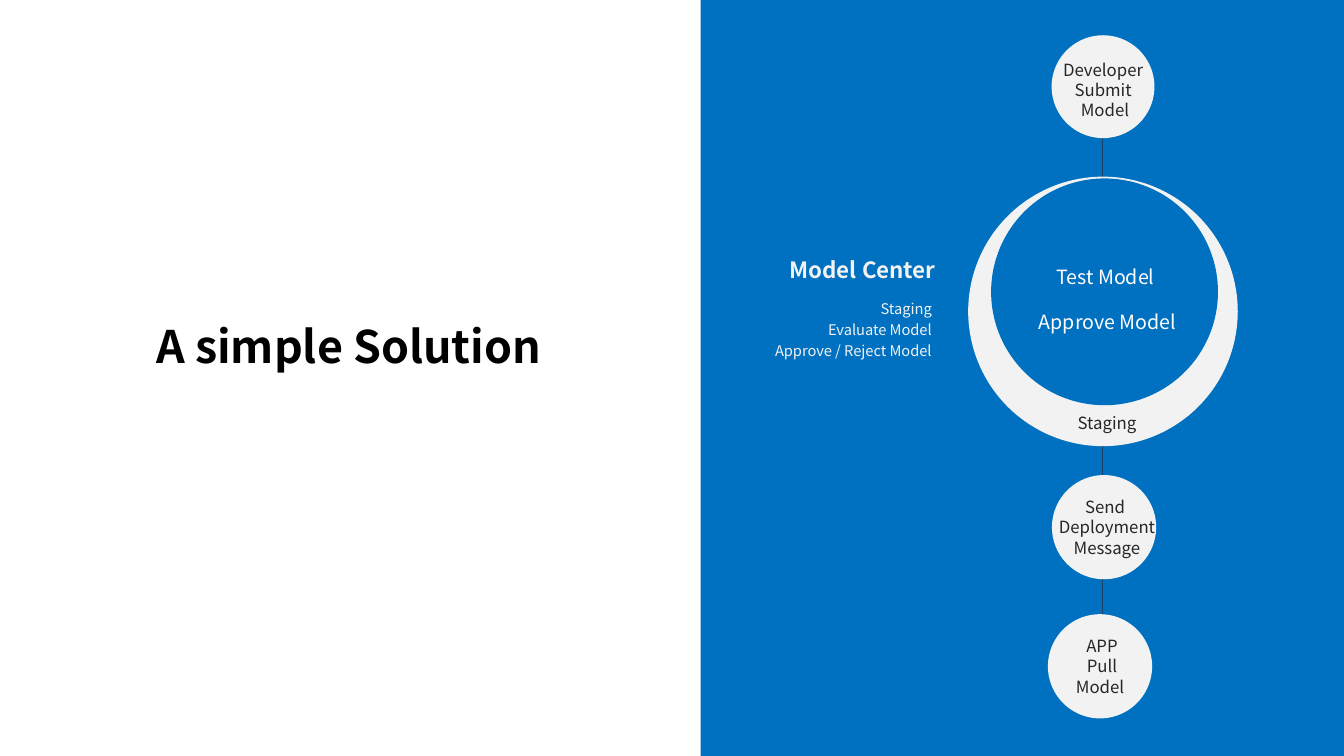
from pptx import Presentation
from pptx.dml.color import RGBColor
from pptx.enum.shapes import MSO_CONNECTOR, MSO_SHAPE
from pptx.enum.text import MSO_ANCHOR, MSO_AUTO_SIZE, PP_ALIGN
from pptx.oxml.ns import qn
from pptx.util import Inches, Pt
from lxml import etree

LEFT, CENTER, RIGHT = PP_ALIGN.LEFT, PP_ALIGN.CENTER, PP_ALIGN.RIGHT
RECTANGLE, OVAL = MSO_SHAPE.RECTANGLE, MSO_SHAPE.OVAL
ROUNDED = MSO_SHAPE.ROUNDED_RECTANGLE
FONT = "Noto Sans CJK SC"
COLORS = {
    "blue": "0070C0",
    "pale": "F2F2F2",
    "navy": "1B4367",
    "dark": "262626",
    "white": "FFFFFF",
    "black": "000000",
}
COLORS = {name: RGBColor.from_string(value) for name, value in COLORS.items()}

presentation = Presentation()
presentation.slide_width, presentation.slide_height = Inches(13.33), Inches(7.5)
slide = presentation.slides.add_slide(presentation.slide_layouts[6])


def add_filled(kind, box, fill, outline=None):
    shape = slide.shapes.add_shape(kind, *map(Inches, box))
    shape.shadow.inherit = False
    shape.fill.solid()
    shape.fill.fore_color.rgb = COLORS[fill]
    if outline:
        shape.line.color.rgb = COLORS[outline]
        shape.line.width = Pt(1)
    else:
        shape.line.fill.background()
    return shape


def write(shape, lines, size, color, align=CENTER, bold=False, spacing=None, frame_format=None):
    """Fill a shape with one paragraph per line, all in one style."""
    frame = shape.text_frame
    for name, value in (frame_format or {}).items():
        setattr(frame, name, value)
    for index, line in enumerate(lines):
        paragraph = frame.add_paragraph() if index else frame.paragraphs[0]
        paragraph.alignment = align
        paragraph.line_spacing = spacing
        run = paragraph.add_run()
        run.text = line
        font_format = {"name": FONT, "size": Pt(size), "bold": bold}
        for name, value in font_format.items():
            setattr(run.font, name, value)
        run.font.color.rgb = COLORS[color]


WRAPPED = {"word_wrap": True, "auto_size": MSO_AUTO_SIZE.SHAPE_TO_FIT_TEXT}
UNWRAPPED = {**WRAPPED, "word_wrap": False}
LABEL = {
    **UNWRAPPED,
    "margin_left": Inches(0.13),
    "margin_right": Inches(0.13),
    "margin_top": Inches(0.07),
    "margin_bottom": Inches(0.07),
}
MIDDLE = {"word_wrap": True, "vertical_anchor": MSO_ANCHOR.MIDDLE}

# Blue panel and the line that links the steps
add_filled(RECTANGLE, (6.95, 0, 6.38, 7.5), "blue")
step_line = slide.shapes.add_connector(
    MSO_CONNECTOR.STRAIGHT, Inches(10.93), Inches(1.24), Inches(10.93), Inches(6.4)
)
step_line.line.color.rgb = COLORS["navy"]
step_line.line.width = Pt(0.75)
etree.SubElement(step_line._element.spPr, qn("a:effectLst"))

# Small step circles, the large staging ring and its blue centre
circles = [
    (10.43, 0.35, 1.02, "pale", None),
    (10.44, 4.72, 1.02, "pale", "pale"),
    (10.4, 6.1, 1.02, "pale", "pale"),
    (9.61, 1.76, 2.66, "pale", "pale"),
    (9.83, 1.77, 2.25, "blue", None),
]
for left, top, diameter, fill, outline in circles:
    add_filled(OVAL, (left, top, diameter, diameter), fill, outline)

for left, top, action in [(10.11, 2.48, "Test Model"), (10.13, 2.93, "Approve Model")]:
    button = add_filled(ROUNDED, (left, top, 1.71, 0.53), "blue")
    write(button, [action], 14, "white", frame_format=MIDDLE)

# Trailing spaces belong to the wording and shift the centred lines
step_labels = [
    ((10.39, 0.52, 1.14, 0.74), ["Developer ", "Submit ", "Model"]),
    ((10.54, 4.02, 0.88, 0.34), ["Staging"]),
    ((10.35, 4.86, 1.26, 0.74), ["Send ", "Deployment", "Message"]),
    ((10.51, 6.24, 0.84, 0.74), ["APP", "Pull", "Model "]),
]
for box, lines in step_labels:
    label = slide.shapes.add_textbox(*map(Inches, box))
    write(label, lines, 12, "dark", frame_format=LABEL)

# Model Center caption and the slide title
tasks = slide.shapes.add_textbox(Inches(6.97), Inches(2.89), Inches(2.37), Inches(0.72))
write(tasks, ["Staging", "Evaluate Model", "Approve / Reject Model"], 10.5, "pale",
      RIGHT, spacing=1.2, frame_format=WRAPPED)
heading = slide.shapes.add_textbox(Inches(7.25), Inches(2.49), Inches(2.13), Inches(0.9))
write(heading, ["Model Center"], 16, "pale", RIGHT, bold=True, frame_format=WRAPPED)
title = slide.shapes.add_textbox(Inches(1.45), Inches(3.11), Inches(4.19), Inches(0.64))
write(title, ["A simple Solution"], 32, "black", LEFT, bold=True, frame_format=UNWRAPPED)

presentation.save("out.pptx")
